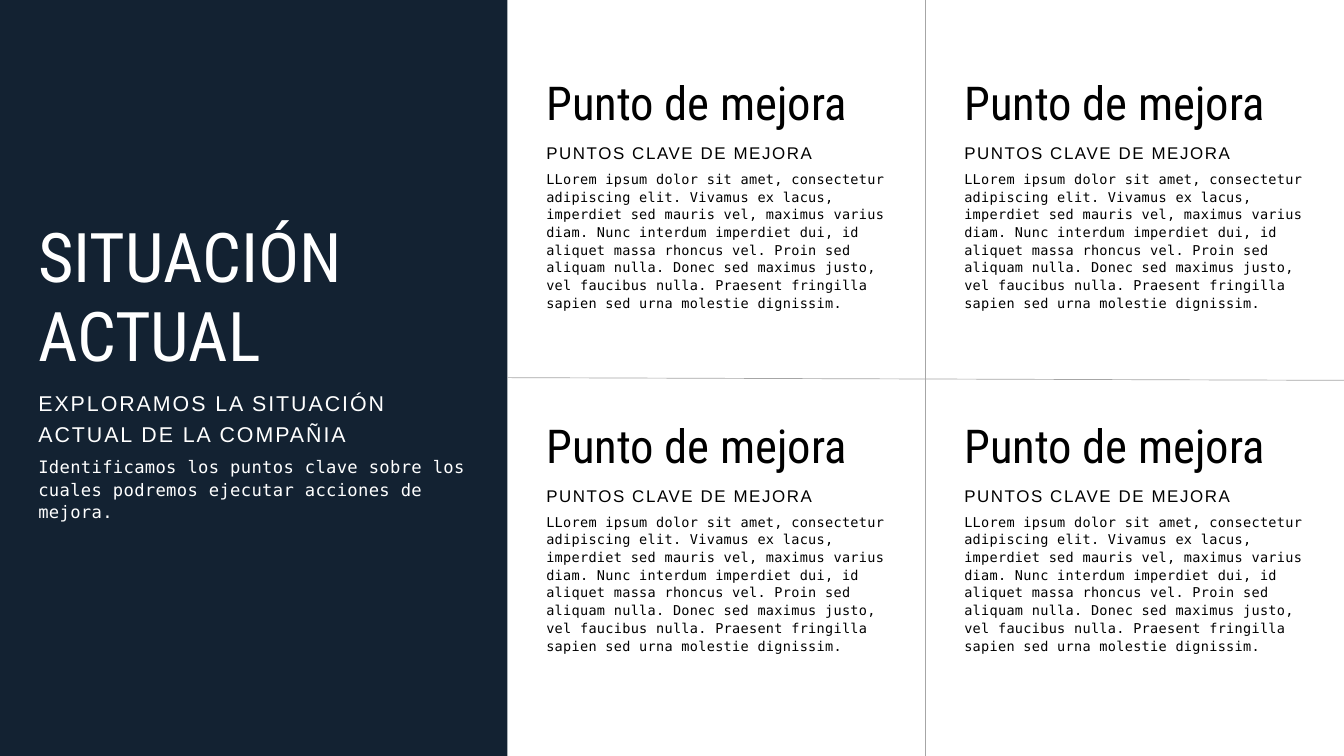
from itertools import product

from pptx import Presentation
from pptx.dml.color import RGBColor
from pptx.enum.shapes import MSO_CONNECTOR, MSO_SHAPE
from pptx.enum.text import MSO_ANCHOR, MSO_AUTO_SIZE, PP_ALIGN
from pptx.oxml.ns import qn
from pptx.util import Inches, Pt
from lxml.etree import SubElement

NAVY, WHITE, BLACK, GRAY = "132232", "FFFFFF", "000000", "A6A6A6"
HEAD, SUB, BODY = "Roboto Condensed", "Arial", "DejaVu Sans Mono"
WIDE, HIGH, SIDE = 20, 11.25, 7.55
LOREM = (
    "LLorem ipsum dolor sit amet, consectetur adipiscing elit. "
    "Vivamus ex lacus, imperdiet sed mauris vel, maximus varius diam. "
    "Nunc interdum imperdiet dui, id aliquet massa rhoncus vel. "
    "Proin sed aliquam nulla. Donec sed maximus justo, vel faucibus nulla. "
    "Praesent fringilla sapien sed urna molestie dignissim."
)


def color(code):
    return RGBColor.from_string(code)


def write(shape, text, font, size, lead, tint, track=0):
    """Fill a shape with one paragraph; lead and track are in points."""
    frame = shape.text_frame
    frame.word_wrap = True
    frame.auto_size = MSO_AUTO_SIZE.NONE
    frame.vertical_anchor = MSO_ANCHOR.TOP
    frame.margin_left = frame.margin_right = 0
    frame.margin_top = frame.margin_bottom = 0
    frame.text = text
    para = frame.paragraphs[0]
    para.alignment = PP_ALIGN.LEFT
    para.line_spacing = Pt(lead)
    para.space_before = Pt(0)
    para.font.name = font
    para.font.size = Pt(size)
    para.font.color.rgb = color(tint)
    if track:
        para.font._rPr.set("spc", str(round(track * 100)))


def add_text(slide, x, y, w, h, *style):
    box = slide.shapes.add_textbox(Inches(x), Inches(y), Inches(w), Inches(h))
    write(box, *style)


def add_panel(slide):
    """Draw the dark side panel behind the title."""
    panel = slide.shapes.add_shape(
        MSO_SHAPE.RECTANGLE, 0, 0, Inches(SIDE), Inches(HIGH))
    panel.shadow.inherit = False
    panel.fill.solid()
    panel.fill.fore_color.rgb = color(NAVY)
    panel.line.fill.background()
    slide.shapes._spTree.insert(2, panel._element)


def add_title(slide, text):
    title = slide.shapes.title
    title.left, title.top = Inches(0.57), Inches(3.24)
    title.width, title.height = Inches(6.41), Inches(2.35)
    write(title, text, HEAD, 73.4, 84.4, WHITE)


def add_rule(slide, *ends):
    rule = slide.shapes.add_connector(
        MSO_CONNECTOR.STRAIGHT, *(Inches(end) for end in ends))
    rule.line.color.rgb = color(GRAY)
    rule.line.width = Pt(0.75)
    SubElement(rule._element.spPr, qn("a:effectLst"))


def add_point(slide, x, y):
    add_text(slide, x, y, 5.06, 0.81,
             "Punto de mejora", HEAD, 50, 57.5, BLACK)
    add_text(slide, x, y + 0.92, 4.57, 0.34,
             "PUNTOS CLAVE DE MEJORA", SUB, 18.1, 26.2, BLACK, 1.7)
    add_text(slide, x, y + 1.38, 5.06, 1.84,
             LOREM, BODY, 14.5, 19, BLACK, 0.3)


def main():
    deck = Presentation()
    deck.slide_width, deck.slide_height = Inches(WIDE), Inches(HIGH)
    slide = deck.slides.add_slide(deck.slide_layouts[5])

    add_panel(slide)
    add_title(slide, "SITUACIÓN ACTUAL")
    add_text(slide, 0.57, 5.73, 5.78, 0.89,
             "EXPLORAMOS LA SITUACIÓN ACTUAL DE LA COMPAÑIA",
             SUB, 22.9, 33.3, WHITE, 2.1)
    add_text(slide, 0.57, 6.77, 6.41, 0.67,
             "Identificamos los puntos clave sobre los cuales podremos "
             "ejecutar acciones de mejora.", BODY, 18.4, 24, WHITE, 0.4)

    mid = (SIDE + WIDE) / 2
    add_rule(slide, SIDE, 5.62, WIDE, 5.66)
    add_rule(slide, mid, 0, mid, HIGH)
    for y, x in product((1.14, 6.24), (8.13, 14.35)):
        add_point(slide, x, y)

    deck.save("out.pptx")


if __name__ == "__main__":
    main()
